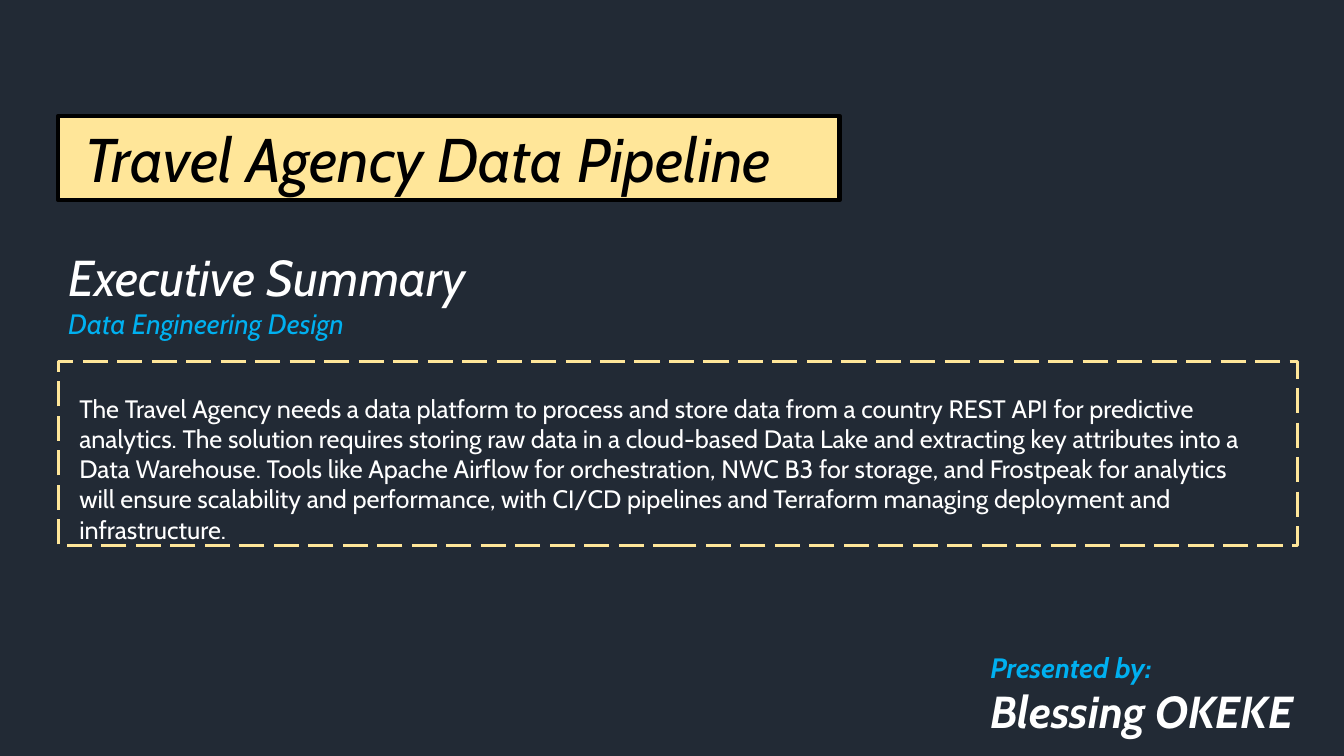
from pptx import Presentation
from pptx.dml.color import RGBColor
from pptx.enum.dml import MSO_LINE
from pptx.enum.shapes import MSO_SHAPE
from pptx.enum.text import MSO_ANCHOR, MSO_AUTO_SIZE, PP_ALIGN
from pptx.util import Cm, Pt

RECT = MSO_SHAPE.RECTANGLE
DASH = MSO_LINE.LONG_DASH
TOP = MSO_ANCHOR.TOP
FIXED = MSO_AUTO_SIZE.NONE
LEFT = PP_ALIGN.LEFT

COLORS = {"night": "222A35", "sand": "FFE699", "black": "000000",
          "white": "FFFFFF", "sky": "00B0F0"}
EDGE = 1.47  # shared left edge, cm

SUMMARY = (
    "The Travel Agency needs a data platform to process and store data from a "
    "country REST API for predictive analytics. The solution requires storing raw "
    "data in a cloud-based Data Lake and extracting key attributes into a Data "
    "Warehouse. Tools like Apache Airflow for orchestration, NWC B3 for storage, "
    "and Frostpeak for analytics will ensure scalability and performance, with "
    "CI/CD pipelines and Terraform managing deployment and infrastructure."
)


class Deck:
    """Holds the style and the current slide."""

    font = "Cabin"

    def __init__(self):
        self.prs = Presentation()
        self.prs.slide_width, self.prs.slide_height = Cm(33.87), Cm(19.05)
        self.slide = self.prs.slides.add_slide(self.prs.slide_layouts[5])
        self.paint(self.slide.background.fill, "night")

    def color(self, name):
        return RGBColor.from_string(COLORS[name])

    def paint(self, fill, name):
        fill.solid()
        fill.fore_color.rgb = self.color(name)

    def fill_text(self, frame, lines, bold=False, italic=False):
        """Fill a frame with lines of (text, size, color)."""
        frame.word_wrap = True
        frame.auto_size = FIXED
        frame.vertical_anchor = TOP
        frame.text = "\n".join(line[0] for line in lines)
        for para, (_, size, color) in zip(frame.paragraphs, lines):
            para.alignment = LEFT
            font = para.font
            font.name, font.size = self.font, Pt(size)
            font.bold, font.italic = bold, italic
            font.color.rgb = self.color(color)

    def box(self, x, y, w, h, line, width, fill=None, dash=None):
        shape = self.slide.shapes.add_shape(RECT, Cm(x), Cm(y), Cm(w), Cm(h))
        shape.shadow.inherit = False
        if fill:
            self.paint(shape.fill, fill)
        else:
            shape.fill.background()
        shape.line.color.rgb = self.color(line)
        shape.line.width = Pt(width)
        if dash:
            shape.line.dash_style = dash

    def text(self, x, y, w, h, lines, **style):
        area = self.slide.shapes.add_textbox(Cm(x), Cm(y), Cm(w), Cm(h))
        self.fill_text(area.text_frame, lines, **style)

    def title(self, x, y, w, h, lines, **style):
        shape = self.slide.shapes.title
        shape.left, shape.top, shape.width, shape.height = Cm(x), Cm(y), Cm(w), Cm(h)
        self.fill_text(shape.text_frame, lines, **style)
        # Bring the title in front of its banner
        self.slide.shapes._spTree.append(shape._element)


def main():
    deck = Deck()

    # Title on its banner
    deck.box(EDGE, 2.92, 19.69, 2.13, "black", 3, fill="sand")
    deck.title(1.88, 2.92, 18.47, 2.13,
               [("Travel Agency Data Pipeline", 44, "black")], italic=True)

    # Section heading
    deck.text(EDGE, 6.07, 17.17, 2.64,
              [("Executive Summary", 36, "white"),
               ("Data Engineering Design", 20, "sky")], italic=True)

    # Summary in its dashed frame
    deck.text(1.75, 9.78, 30.38, 3.33, [(SUMMARY, 18, "white")])
    deck.box(EDGE, 9.12, 31.24, 4.62, "sand", 2.25, dash=DASH)

    # Presenter
    deck.text(24.71, 16.26, 8.53, 2.49,
              [("Presented by:", 20, "sky"),
               ("Blessing OKEKE", 32, "white")], bold=True, italic=True)

    deck.prs.save("out.pptx")


if __name__ == "__main__":
    main()
